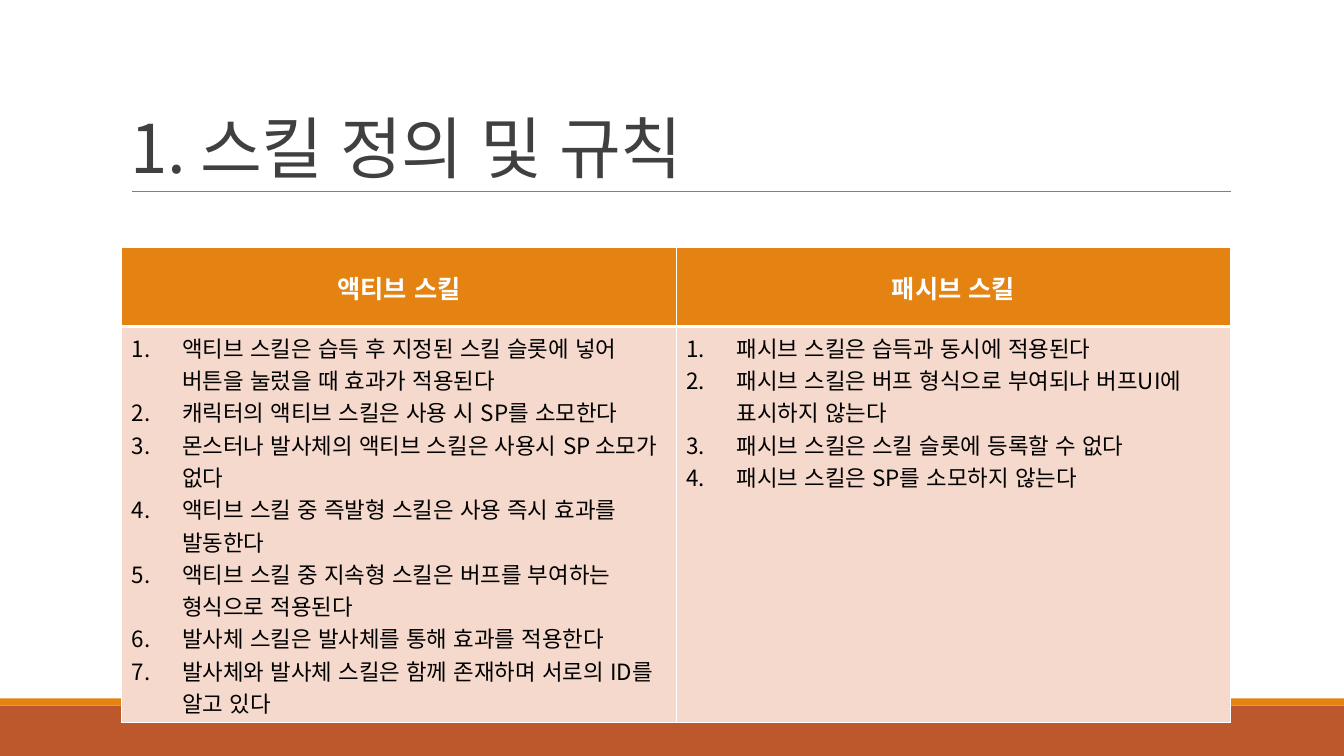
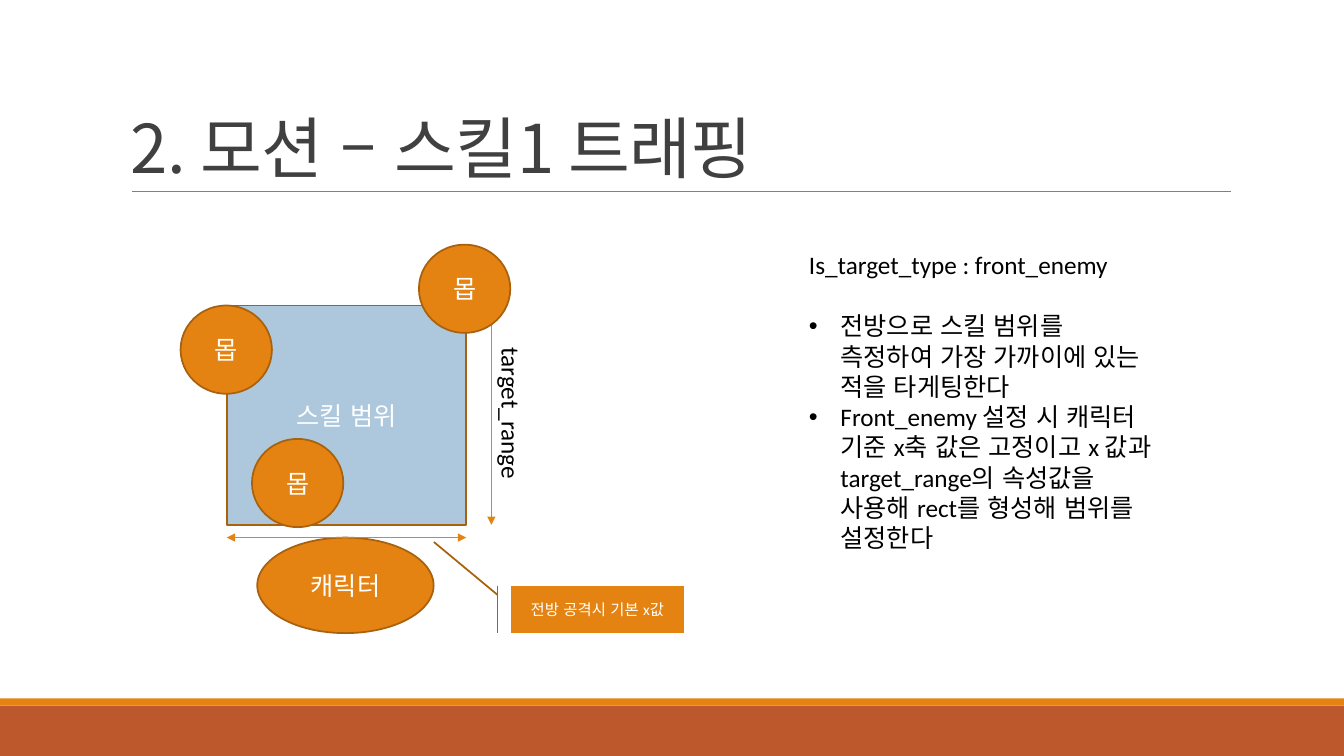
from lxml.etree import SubElement as Sub
from pptx import Presentation
from pptx.dml.color import RGBColor as RGB
from pptx.enum.lang import MSO_LANGUAGE_ID as Lang
from pptx.enum.shapes import MSO_CONNECTOR as Conn, MSO_SHAPE as Shape
from pptx.enum.text import MSO_ANCHOR as Anchor, MSO_AUTO_SIZE as Auto, PP_ALIGN as Align
from pptx.oxml.ns import qn
from pptx.util import Pt

SCALE = 9525  # EMU per px, 96 px to the inch
WIDE, HIGH = 1280, 720
WHITE = RGB(0xFF, 0xFF, 0xFF)
BLACK = RGB(0, 0, 0)
DARK = RGB(0x40, 0x40, 0x40)
GREY = RGB(0x80, 0x80, 0x80)
RUST = RGB(0xBD, 0x58, 0x2C)
GOLD = RGB(0xE4, 0x83, 0x12)
BROWN = RGB(0xA9, 0x61, 0x0D)
BLUE = RGB(0xAD, 0xC8, 0xDD)
PINK = RGB(0xF5, 0xD9, 0xCC)
SANS, ASIAN = "Calibri", "Noto Sans CJK KR"

# Text formats
TITLE = dict(size=Pt(48), name=ASIAN, color=DARK)
HEAD = dict(size=Pt(18), name=ASIAN, color=WHITE, bold=True)
CELL = dict(size=Pt(16), name=ASIAN, color=BLACK, bold=False)
LABEL = dict(size=Pt(18), name=SANS, color=WHITE)
SMALL = LABEL | dict(size=Pt(11))
BODY = LABEL | dict(color=BLACK)

SKILLS = {
    "액티브 스킬": [
        "액티브 스킬은 습득 후 지정된 스킬 슬롯에 넣어 버튼을 눌렀을 때 효과가 적용된다",
        "캐릭터의 액티브 스킬은 사용 시 SP를 소모한다",
        "몬스터나 발사체의 액티브 스킬은 사용시 SP 소모가 없다",
        "액티브 스킬 중 즉발형 스킬은 사용 즉시 효과를 발동한다",
        "액티브 스킬 중 지속형 스킬은 버프를 부여하는 형식으로 적용된다",
        "발사체 스킬은 발사체를 통해 효과를 적용한다",
        "발사체와 발사체 스킬은 함께 존재하며 서로의 ID를 알고 있다",
    ],
    "패시브 스킬": [
        "패시브 스킬은 습득과 동시에 적용된다",
        "패시브 스킬은 버프 형식으로 부여되나 버프UI에 표시하지 않는다",
        "패시브 스킬은 스킬 슬롯에 등록할 수 없다",
        "패시브 스킬은 SP를 소모하지 않는다",
    ],
}
NOTES = [
    "전방으로 스킬 범위를 측정하여 가장 가까이에 있는 적을 타게팅한다",
    "Front_enemy 설정 시 캐릭터 기준 x축 값은 고정이고 x 값과 target_range의 "
    "속성값을 사용해 rect를 형성해 범위를 설정한다",
]


def px(*nums):
    return [num * SCALE for num in nums]


def write(para, text, style, **form):
    """Add one run, with paragraph values from form."""
    for key, val in form.items():
        setattr(para, key, val)
    run = para.add_run()
    run.text = text
    for key, val in style.items():
        if key == "color":
            run.font.color.rgb = val
        else:
            setattr(run.font, key, val)
    run.font.language_id = Lang.KOREAN
    Sub(run.font._element, qn("a:ea"), typeface=ASIAN)
    return run


def bullet(para, dent, tag, **mark):
    props = para._p.get_or_add_pPr()
    props.set("marL", str(dent * SCALE))
    props.set("indent", str(-dent * SCALE))
    Sub(props, qn("a:buFont"), typeface="Arial")
    Sub(props, qn(tag), **mark)


def paras(frame, count):
    """Return count paragraphs of an empty text frame."""
    return [frame.paragraphs[0]] + [frame.add_paragraph() for _ in range(count - 1)]


def textbox(slide, box, **form):
    shape = slide.shapes.add_textbox(*px(*box))
    for key, val in (dict(word_wrap=True) | form).items():
        setattr(shape.text_frame, key, val)
    return shape


def block(slide, kind, box, fill, edge=None, text="", style=LABEL):
    shape = slide.shapes.add_shape(kind, *px(*box))
    shape.shadow.inherit = False
    shape.fill.solid()
    shape.fill.fore_color.rgb = fill
    if edge:
        shape.line.color.rgb = edge
        shape.line.width = Pt(1.25)
    else:
        shape.line.fill.background()
    if text:
        frame = shape.text_frame
        frame.vertical_anchor = Anchor.MIDDLE
        write(frame.paragraphs[0], text, style, alignment=Align.CENTER)
    return shape


def rule(slide, ends, color, width, heads=False):
    line = slide.shapes.add_connector(Conn.STRAIGHT, *px(*ends))
    line.line.color.rgb = color
    line.line.width = Pt(width)
    if heads:
        for tag in ("a:headEnd", "a:tailEnd"):
            Sub(line.line._get_or_add_ln(), qn(tag), type="triangle")
    Sub(line._element.spPr, qn("a:effectLst"))


def paint(cell, fill, foot=1):
    """White borders, then the fill."""
    props = cell._tc.get_or_add_tcPr()
    for side, width in zip("LRTB", (1, 1, 1, foot)):
        edge = Sub(props, qn("a:ln" + side), w=str(Pt(width)))
        Sub(Sub(edge, qn("a:solidFill")), qn("a:srgbClr"), val=str(WHITE))
    cell.fill.solid()
    cell.fill.fore_color.rgb = fill


def page(deck, title):
    """Blank slide with the shared bands, rule and title."""
    slide = deck.slides.add_slide(deck.slide_layouts[6])
    block(slide, Shape.RECTANGLE, (0, 672, WIDE, 48), RUST)
    block(slide, Shape.RECTANGLE, (0, 665, WIDE, 7), GOLD)
    rule(slide, (126, 182, 1172, 182), GREY, 0.5)
    shape = textbox(slide, (115, 30, 1056, 153), vertical_anchor=Anchor.BOTTOM)
    run = write(shape.text_frame.paragraphs[0], title, TITLE, line_spacing=0.85)
    run.font._element.set("spc", "-50")
    return slide


def rules(deck):
    slide = page(deck, "1. 스킬 정의 및 규칙")
    grid = slide.shapes.add_table(2, 2, *px(116, 236, 1056, 452)).table
    for row, high in zip(grid.rows, px(75, 377)):
        row.height = high
    for col, (name, items) in enumerate(SKILLS.items()):
        head, cell = grid.cell(0, col), grid.cell(1, col)
        paint(head, GOLD, foot=3)
        head.vertical_anchor = Anchor.MIDDLE
        write(head.text_frame.paragraphs[0], name, HEAD, alignment=Align.CENTER)
        paint(cell, PINK)
        cell.vertical_anchor = Anchor.TOP if col else Anchor.MIDDLE
        for para, item in zip(paras(cell.text_frame, len(items)), items):
            bullet(para, 48, "a:buAutoNum", type="arabicPeriod")
            write(para, item, CELL)


def motion(deck):
    slide = page(deck, "2. 모션 – 스킬1 트래핑")
    left, top, wide, high = area = (216, 291, 228, 209)
    right, foot, base = left + wide, top + high, 512

    # Character, skill area and mobs
    block(slide, Shape.OVAL, (245, base, 168, 91), GOLD, BROWN, "캐릭터")
    block(slide, Shape.RECTANGLE, area, BLUE, BROWN, "스킬 범위")
    rule(slide, (468, top, 468, foot), GOLD, 1, heads=True)
    for x, y in ((172, top), (240, 418), (399, 233)):
        block(slide, Shape.OVAL, (x, y, 87, 84), GOLD, BROWN, "몹")

    # Range labels
    tag = textbox(slide, (414, 375, 146, 39), word_wrap=False,
                  auto_size=Auto.SHAPE_TO_FIT_TEXT)
    tag.rotation = 90
    write(tag.text_frame.paragraphs[0], "target_range", BODY)
    rule(slide, (left, base, right, base), GOLD, 1, heads=True)
    call = block(slide, Shape.LINE_CALLOUT_1_ACCENT_BAR, (487, 558, 164, 45),
                 GOLD, BROWN, "전방 공격시 기본 x값", SMALL)
    for num, val in enumerate((0.19, -0.08, -0.93, -0.45)):
        call.adjustments[num] = val

    # Notes
    note = textbox(slide, (761, 233, 355, 300), auto_size=Auto.SHAPE_TO_FIT_TEXT)
    first, *rest = paras(note.text_frame, 1 + len(NOTES))
    write(first, "Is_target_type : front_enemy", BODY, space_after=Pt(22))
    for para, item in zip(rest, NOTES):
        bullet(para, 30, "a:buChar", char="•")
        write(para, item, BODY)


def main():
    deck = Presentation()
    deck.slide_width, deck.slide_height = px(WIDE, HIGH)
    rules(deck)
    motion(deck)
    deck.save("out.pptx")


if __name__ == "__main__":
    main()
